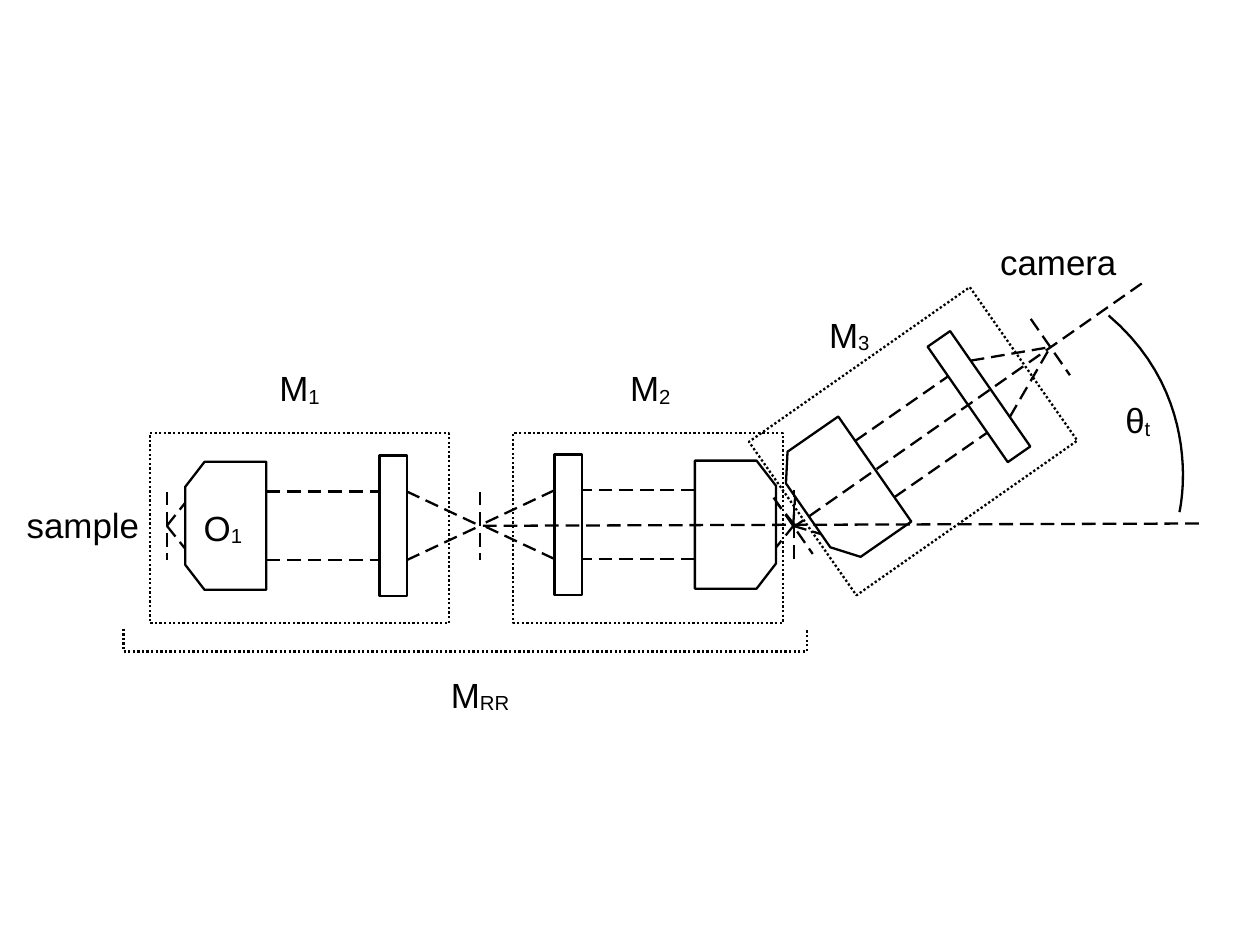
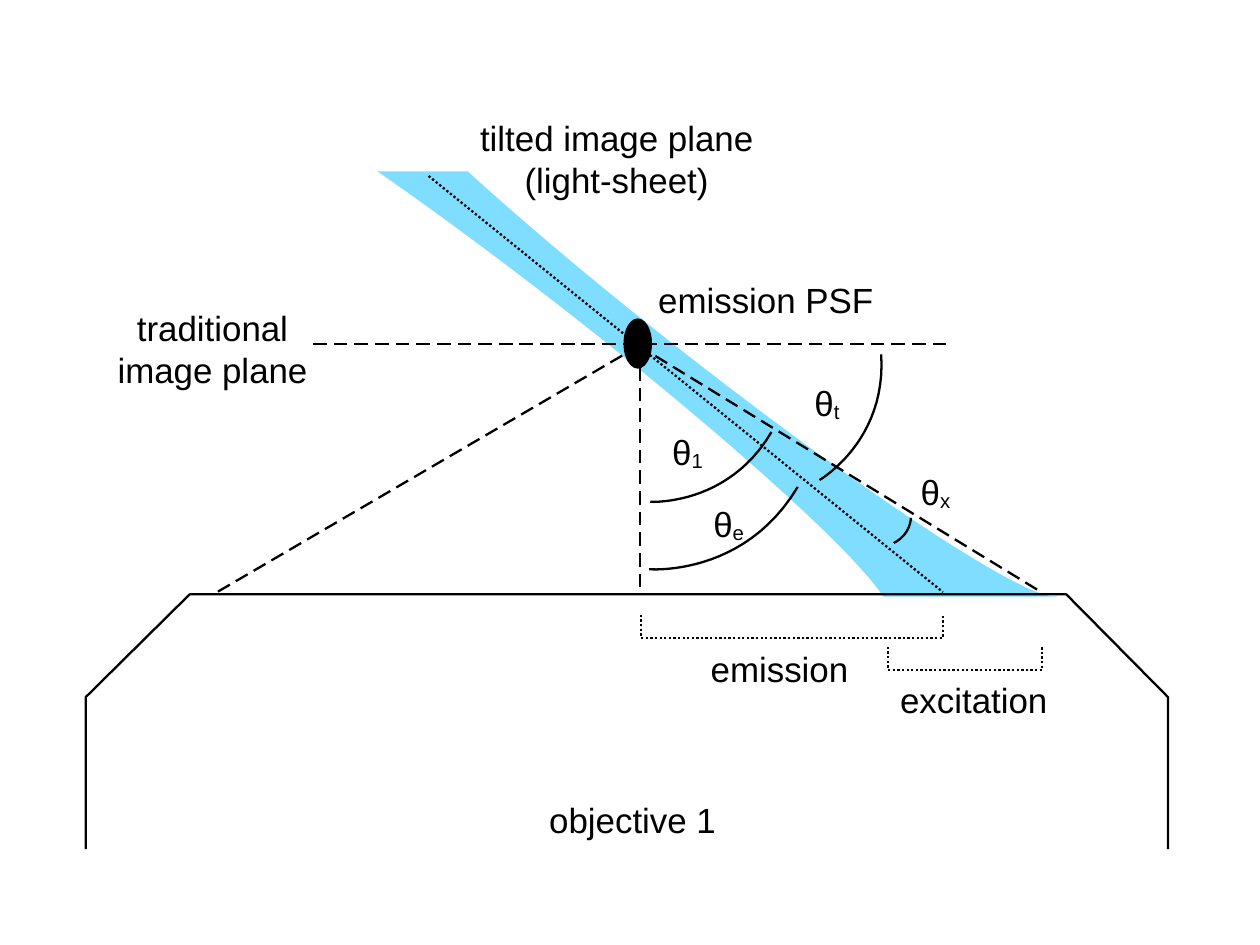
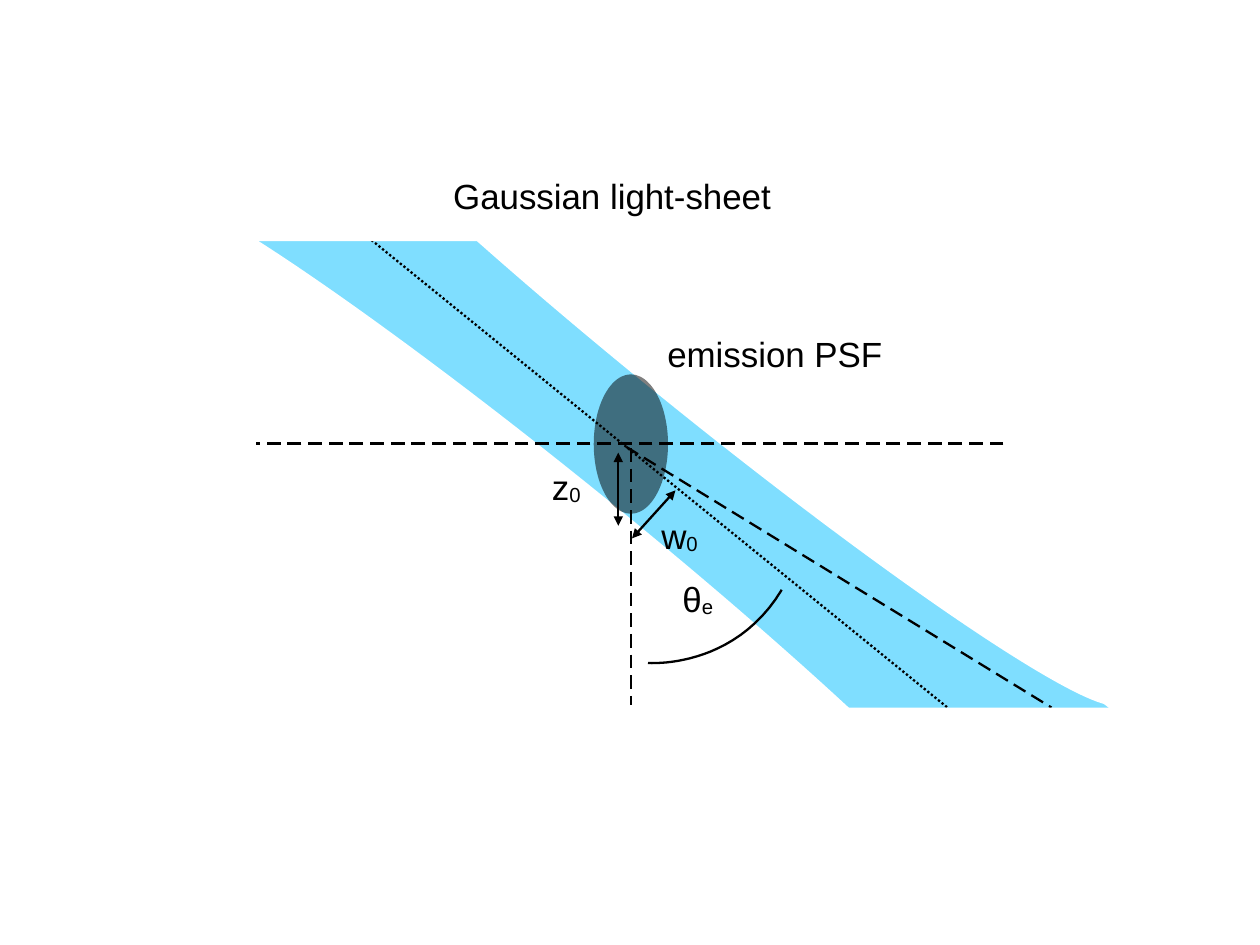
from math import cos, radians, sin

from lxml.etree import SubElement
from pptx import Presentation
from pptx.dml.color import RGBColor
from pptx.enum.shapes import MSO_CONNECTOR, MSO_SHAPE
from pptx.enum.text import PP_ALIGN
from pptx.oxml.ns import qn
from pptx.util import Emu, Inches, Pt

BLACK, WHITE, SKY = "000000", "FFFFFF", "00BFFF"
RECT, OVAL = MSO_SHAPE.RECTANGLE, MSO_SHAPE.OVAL
# Standard 28 by 21 cm screen page, in EMU
PAGE_WIDTH, PAGE_HEIGHT = Emu(10080625), Emu(7559675)


def colour(hex_string):
    return RGBColor.from_string(hex_string)


class Diagram:
    """Holds the drawing style and the current slide."""

    font, size, weight, subscript = "Arial", 22, 1.45, "-8000"

    def __init__(self, width, height):
        self.deck = Presentation()
        self.deck.slide_width, self.deck.slide_height = width, height

    def new_slide(self):
        self.shapes = self.deck.slides.add_slide(self.deck.slide_layouts[6]).shapes

    def stroke(self, line, dash=None, arrows=False):
        line.color.rgb = colour(BLACK)
        line.width = Pt(self.weight)
        outline = line._get_or_add_ln()
        if dash == "dashed":
            pattern = SubElement(outline, qn("a:custDash"))
            SubElement(pattern, qn("a:ds"), d="600000", sp="300000")
        elif dash == "dotted":
            SubElement(outline, qn("a:prstDash"), val="sysDot")
        if arrows:
            for end in ("a:headEnd", "a:tailEnd"):
                SubElement(outline, qn(end), type="triangle")

    def line(self, start, end, dash="dashed", arrows=False):
        segment = self.shapes.add_connector(
            MSO_CONNECTOR.STRAIGHT, *map(Inches, (*start, *end)))
        self.stroke(segment.line, dash, arrows)
        SubElement(segment._element.spPr, qn("a:effectLst"))

    def filled(self, kind, at, fill, rotation=0, alpha=None):
        area = self.shapes.add_shape(kind, *map(Inches, at))
        area.rotation = rotation
        area.shadow.inherit = False
        area.line.fill.background()
        area.fill.solid()
        area.fill.fore_color.rgb = colour(fill)
        if alpha:
            tone = area._element.spPr.find(qn("a:solidFill"))[0]
            SubElement(tone, qn("a:alpha"), val=str(alpha * 1000))

    def frame(self, at, rotation=0, dash=None):
        box = self.shapes.add_shape(RECT, *map(Inches, at))
        box.rotation = rotation
        box.shadow.inherit = False
        box.fill.background()
        self.stroke(box.line, dash)

    def outline(self, points, closed=False, dash=None):
        corners = [(Inches(x), Inches(y)) for x, y in points]
        builder = self.shapes.build_freeform(*corners[0])
        builder.add_line_segments(corners[1:], close=closed)
        contour = builder.convert_to_shape()
        contour.shadow.inherit = False
        contour.fill.background()
        self.stroke(contour.line, dash)

    def arc(self, start, control, end, steps=24):
        """Cubic curve whose second control point is its end."""
        points = []
        for step in range(steps + 1):
            t = step / steps
            a, b = (1 - t) ** 3, 3 * t * (1 - t) ** 2
            points.append([a * p + b * q + (1 - a - b) * r
                           for p, q, r in zip(start, control, end)])
        self.outline(points)

    def bracket(self, left, right, bottom):
        top = bottom - 0.2
        self.outline([(left, top), (left, bottom), (right, bottom), (right, top)],
                     dash="dotted")

    def label(self, text, at, sub="", align=PP_ALIGN.CENTER):
        frame = self.shapes.add_textbox(*map(Inches, at)).text_frame
        frame.word_wrap = True
        paragraph = frame.paragraphs[0]
        paragraph.alignment = align
        for words in filter(None, (text, sub)):
            run = paragraph.add_run()
            run.text = words
            run.font.name, run.font.size = self.font, Pt(self.size)
            run.font.color.rgb = colour(BLACK)
        if sub:
            run.font._element.set("baseline", self.subscript)

    def light_sheet(self, beam, masks, rotation):
        """A blue beam narrowed to a waist by two white ovals."""
        self.filled(RECT, beam, SKY, rotation, alpha=50)
        for mask in masks:
            self.filled(OVAL, mask, WHITE, rotation)

    def microscope(self, focus, angle, image_plane=True):
        """Objective, tube lens and rays along an axis that leaves the focus."""
        across, along = sin(radians(angle)), cos(radians(angle))

        def place(x, y):
            return (focus[0] + x * along - y * across,
                    focus[1] + x * across + y * along)

        front, shoulder, back, tube, image = 0.16, 0.33, 0.87, 1.86, 2.74
        depth, height, ray = 0.24, 1.23, 0.3
        self.outline([place(x, y) for x, y in (
            (front, -0.34), (shoulder, -0.56), (back, -0.56),
            (back, 0.56), (shoulder, 0.56), (front, 0.34))], closed=True)
        x, y = place(tube + depth / 2, 0)
        self.frame((x - depth / 2, y - height / 2, depth, height), angle)
        for side in (-1, 1):
            self.line(place(0, 0), place(front, side * 0.2))
            self.line(place(back, side * ray), place(tube, side * ray))
            self.line(place(tube + depth, side * ray), place(image, 0))
        for plane in (0, image) if image_plane else (0,):
            self.line(place(plane, -ray), place(plane, ray))


def draw_microscopes(d):
    d.new_slide()
    # Three microscopes in series, the last one tilted
    d.microscope((6.95, 4.59), 180, image_plane=False)
    d.microscope((1.46, 4.6), 0)
    d.microscope((6.94, 4.6), -34.8)
    # Optical axes
    d.line((10.49, 4.58), (4.21, 4.6))
    d.line((9.99, 2.48), (6.96, 4.6))
    # Module frames and their names
    d.frame((1.31, 3.79, 2.62, 1.66), dash="dotted")
    d.frame((4.49, 3.79, 2.36, 1.66), dash="dotted")
    d.frame((6.81, 3.04, 2.36, 1.64), 325, dash="dotted")
    for name, sub, left, top in (("M", "1", 2.18, 3.16), ("M", "2", 5.25, 3.16),
                                 ("M", "3", 6.99, 2.69), ("M", "RR", 3.76, 5.84),
                                 ("O", "1", 1.51, 4.38)):
        d.label(name, (left, top, 0.88, 0.57), sub=sub)
    d.bracket(1.08, 7.06, 5.7)
    # Tilt angle and end points
    d.arc((9.7, 2.76), (10.56, 3.49), (10.32, 4.48))
    d.label("θ", (9.58, 3.44, 0.75, 0.5), sub="t")
    d.label("sample", (0.12, 4.36, 1.21, 0.78))
    d.label("camera", (8.53, 2.06, 1.46, 0.78))


def draw_objective(d):
    d.new_slide()
    # Light-sheet and collection cone
    d.light_sheet((2.05, 2.72, 7.7, 1.05),
                  ((2.38, 2.48, 7.7, 0.7), (0.89, 2.65, 7.7, 0.7)), 38)
    d.line((5.6, 3.02), (1.9, 5.18))
    d.line((5.58, 3.02), (9.11, 5.18))
    # Front of the objective
    d.outline([(0.75, 7.43), (0.75, 6.1), (1.66, 5.2),
               (9.33, 5.2), (10.22, 6.1), (10.22, 7.43)])
    d.label("objective 1", (4.27, 6.94, 2.53, 0.47))
    # Image planes, optical axis and emission spot
    d.line((8.28, 3.01), (2.71, 3.01))
    d.line((5.6, 3.03), (5.6, 5.18))
    d.filled(OVAL, (5.36, 2.88, 0.44, 0.25), BLACK, 270)
    d.line((3.75, 1.54), (8.25, 5.18), dash="dotted")
    # Trim the ends of the sheet
    for left, top in ((2.21, 0.25), (7.25, 5.22)):
        d.filled(RECT, (left, top, 2, 1.25), WHITE)
    # Angles
    for sub, start, control, end, left, top in (
            ("t", (7.71, 3.1), (7.76, 3.86), (7.17, 4.2), 6.86, 3.29),
            ("x", (7.97, 4.53), (7.96, 4.69), (7.82, 4.75), 7.81, 4.07),
            ("1", (6.75, 3.78), (6.37, 4.43), (5.69, 4.39), 5.64, 3.72),
            ("e", (6.98, 4.26), (6.51, 5.05), (5.68, 4.98), 6, 4.35)):
        d.arc(start, control, end)
        d.label("θ", (left, top, 0.75, 0.5), sub=sub)
    # Names and pupil ranges
    d.label("traditional image plane", (0.88, 2.63, 1.96, 1.47))
    d.label("tilted image plane (light-sheet)", (3.87, 0.97, 3.05, 1.12))
    d.label("emission PSF", (5.45, 2.39, 2.5, 0.64))
    d.bracket(5.61, 8.25, 5.58)
    d.label("emission", (5.84, 5.62, 1.96, 0.55))
    d.bracket(7.77, 9.12, 5.86)
    d.label("excitation", (7.54, 5.89, 1.96, 0.55))


def draw_beam_waist(d):
    d.new_slide()
    # Light-sheet, planes and emission spot
    d.light_sheet((1.14, 3.4, 9.56, 1.87),
                  ((1.23, 2.68, 9.64, 0.88), (0.17, 4.24, 9.65, 0.88)), 39)
    d.line((5.48, 3.91), (9.2, 6.19))
    d.line((8.78, 3.88), (2.24, 3.88))
    d.line((5.52, 3.92), (5.52, 6.17))
    d.filled(OVAL, (4.91, 3.56, 1.22, 0.65), BLACK, 270, alpha=50)
    d.line((3.25, 2.1), (8.29, 6.19), dash="dotted")
    # Trim the ends of the sheet
    d.filled(RECT, (1.77, 0.6, 2.62, 1.51), WHITE)
    d.filled(RECT, (7.31, 6.19, 2.92, 2.02), WHITE)
    # Angle and sizes
    d.arc((6.84, 5.16), (6.42, 5.86), (5.67, 5.8))
    d.line((5.53, 4.71), (5.91, 4.29), dash=None, arrows=True)
    d.line((5.41, 3.96), (5.41, 4.6), dash=None, arrows=True)
    for symbol, sub, left, top in (("θ", "e", 5.73, 5), ("w", "0", 5.57, 4.45),
                                   ("z", "0", 4.58, 4.02)):
        d.label(symbol, (left, top, 0.75, 0.57), sub=sub)
    # Names
    d.label("emission PSF", (5.53, 2.86, 2.5, 0.64))
    d.label("Gaussian light-sheet", (3.83, 1.48, 3.05, 0.66))


def main():
    diagram = Diagram(PAGE_WIDTH, PAGE_HEIGHT)
    draw_microscopes(diagram)
    draw_objective(diagram)
    draw_beam_waist(diagram)
    diagram.deck.save("out.pptx")


if __name__ == "__main__":
    main()
